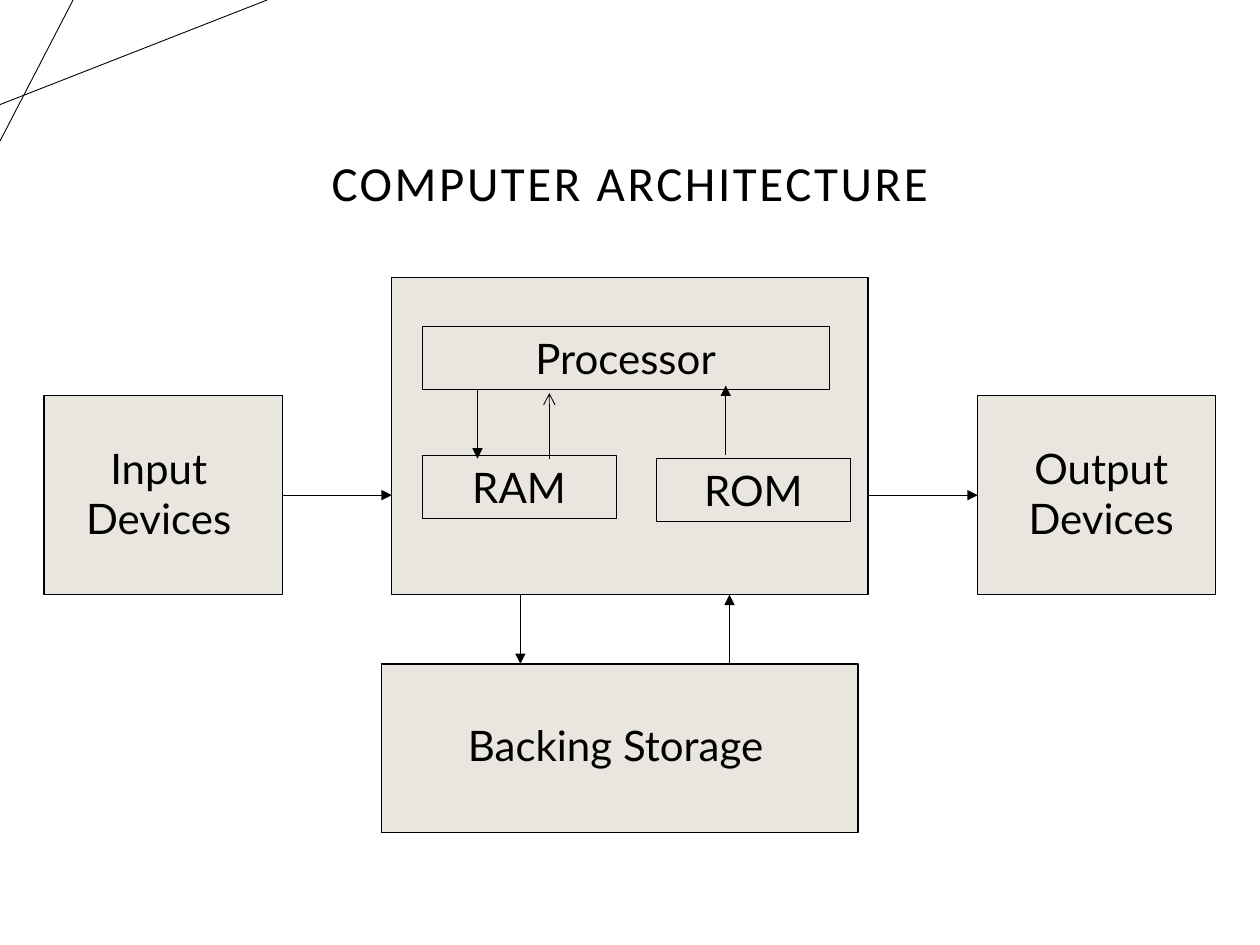
from lxml import etree
from pptx import Presentation
from pptx.dml.color import RGBColor
from pptx.enum import shapes, text
from pptx.oxml.ns import qn
from pptx.util import Inches, Pt

BLACK = RGBColor(0x00, 0x00, 0x00)
STONE = RGBColor(0xE9, 0xE6, 0xDF)


def add_line(slide, start, end, weight=0.75, head=None):
    line = slide.shapes.add_connector(
        shapes.MSO_CONNECTOR.STRAIGHT, *map(Inches, (*start, *end)))
    line.line.color.rgb = BLACK
    line.line.width = Pt(weight)
    if head:
        etree.SubElement(line.line._get_or_add_ln(), qn("a:tailEnd"), type=head)
    etree.SubElement(line._element.spPr, qn("a:effectLst"))


def add_arrow(slide, start, dx=0, dy=0, weight=0.75, head="triangle"):
    add_line(slide, start, (start[0] + dx, start[1] + dy), weight, head)


def add_box(slide, box, weight, fill=None):
    rect = slide.shapes.add_shape(
        shapes.MSO_SHAPE.RECTANGLE, *map(Inches, box))
    rect.shadow.inherit = False
    if fill is None:
        rect.fill.background()
    else:
        rect.fill.solid()
        rect.fill.fore_color.rgb = fill
    rect.line.color.rgb = BLACK
    rect.line.width = Pt(weight)
    return rect


def write(shape, wording, font="Lato", size=24, anchor=text.MSO_ANCHOR.TOP):
    frame = shape.text_frame
    frame.word_wrap = True
    frame.vertical_anchor = anchor
    paragraph = frame.paragraphs[0]
    paragraph.text = wording
    paragraph.alignment = text.PP_ALIGN.CENTER
    paragraph.font.name = font
    paragraph.font.size = Pt(size)
    paragraph.font.color.rgb = BLACK
    return paragraph


def add_label(slide, box, wording):
    write(slide.shapes.add_textbox(*map(Inches, box)), wording)


def add_title(slide, box):
    title = slide.shapes.add_textbox(*map(Inches, box))
    paragraph = write(title, "COMPUTER ARCHITECTURE", "Calibri", 28,
                      text.MSO_ANCHOR.MIDDLE)
    paragraph.line_spacing = 0.9
    paragraph.runs[0]._r.get_or_add_rPr().set("spc", "150")


def add_corner_lines(slide):
    add_line(slide, (0, 0.83), (2.12, 0), 0.5)
    add_line(slide, (0.58, 0), (0, 1.12), 0.5)


def add_device(slide, box, wording, label_inset):
    left, top, _, _ = box
    add_box(slide, box, 0.75, STONE)
    add_label(slide, (left + label_inset, top + 0.32, 1.5, 0.9), wording)


def add_storage(slide, box):
    left, top, _, _ = box
    add_box(slide, box, 0.75, STONE)
    add_label(slide, (left + 0.24, top + 0.39, 3.23, 0.5), "Backing Storage")


def add_central_unit(slide, box):
    """Draw the processor with its memories and the arrows between them."""
    left, top, _, _ = box
    add_box(slide, box, 0.75, STONE)
    for wording, dx, dy, width in (("Processor", 0.24, 0.39, 3.23),
                                   ("RAM", 0.24, 1.41, 1.54),
                                   ("ROM", 2.1, 1.44, 1.54)):
        part = add_box(slide, (left + dx, top + dy, width, 0.5), 0.25)
        write(part, wording)
    add_arrow(slide, (left + 0.68, top + 0.89), dy=0.55)
    add_arrow(slide, (left + 2.65, top + 1.41), dy=-0.55)
    add_arrow(slide, (left + 1.25, top + 1.44), dy=-0.52, weight=0.5,
              head="arrow")


def add_architecture(slide, box):
    left, top, width, _ = box
    device_width, device_height = 1.89, 1.58
    unit_width, unit_height = 3.78, 2.52
    gap = (width - 2 * device_width - unit_width) / 2
    device_top = top + unit_height - device_height
    unit_left = left + device_width + gap
    unit_right = unit_left + unit_width
    unit_bottom = top + unit_height
    storage_top = unit_bottom + 0.55

    add_central_unit(slide, (unit_left, top, unit_width, unit_height))
    add_storage(slide, (unit_left - 0.08, storage_top, unit_width, 1.34))
    for wording, device_left, inset in (
            ("Input Devices", left, 0.16),
            ("Output Devices", unit_right + gap, 0.23)):
        add_device(slide, (device_left, device_top, device_width,
                           device_height), wording, inset)

    for start in (left + device_width, unit_right):
        add_arrow(slide, (start, device_top + device_height / 2), dx=gap)
    add_arrow(slide, (unit_left + 1.02, unit_bottom), dy=0.55)
    add_arrow(slide, (unit_left + 2.68, storage_top), dy=-0.55)


def main():
    deck = Presentation()
    deck.slide_width, deck.slide_height = Inches(10), Inches(7.5)
    slide = deck.slides.add_slide(deck.slide_layouts[6])
    add_corner_lines(slide)
    add_title(slide, (0.69, 0.75, 8.62, 1.45))
    add_architecture(slide, (0.35, 2.2, 9.3, 4.41))
    deck.save("out.pptx")


if __name__ == "__main__":
    main()
